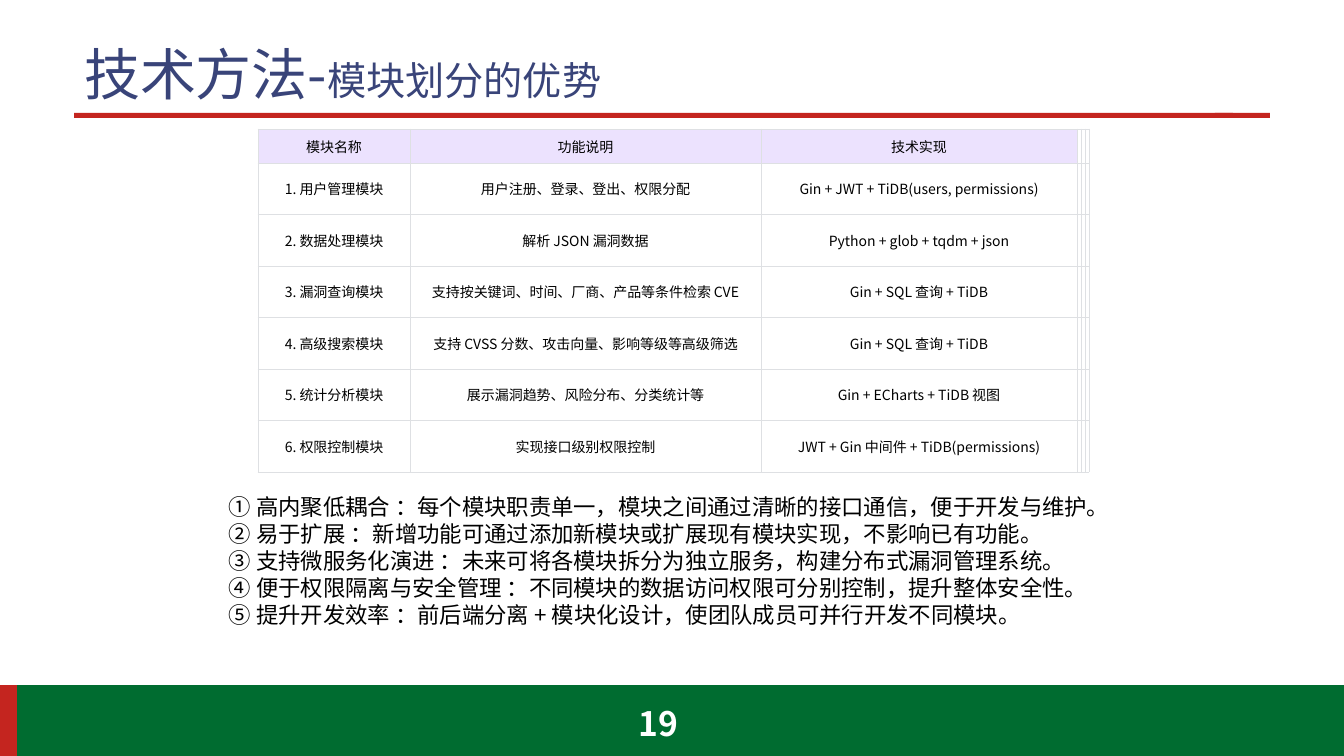
"""Build the slide on the advantages of the module split."""
import pptx
import pptx.util
import pptx.dml.color
import pptx.enum.shapes
import pptx.enum.text
import pptx.oxml

PX = 914400 / 100.8
FONT = "Noto Sans CJK SC"
NAVY, BLACK, WHITE = "394479", "000000", "FFFFFF"
GREEN, RED, LILAC, GRAY = "006C30", "C4251F", "ECE2FE", "DEE0E3"

TITLE = [("技术方法-", 40), ("模块划分的优势", 28)]
BARS = [
    (0, 685, 1344, 71, GREEN),
    (0, 685, 17, 71, RED),
    (74, 113, 1159, 5, RED),
    (1215, 113, 55, 5, RED),
]
ROWS = [
    ("模块名称", "功能说明", "技术实现"),
    ("1. 用户管理模块", "用户注册、登录、登出、权限分配", "Gin + JWT + TiDB(users, permissions)"),
    ("2. 数据处理模块", "解析 JSON 漏洞数据", "Python + glob + tqdm + json"),
    ("3. 漏洞查询模块", "支持按关键词、时间、厂商、产品等条件检索 CVE", "Gin + SQL 查询 + TiDB"),
    ("4. 高级搜索模块", "支持 CVSS 分数、攻击向量、影响等级等高级筛选", "Gin + SQL 查询 + TiDB"),
    ("5. 统计分析模块", "展示漏洞趋势、风险分布、分类统计等", "Gin + ECharts + TiDB 视图"),
    ("6. 权限控制模块", "实现接口级别权限控制", "JWT + Gin 中间件 + TiDB(permissions)"),
]
WIDTHS = [152, 351, 316, 4, 4, 4]
HEAD, BODY = 34, 309
POINTS = [
    "① 高内聚低耦合 ：每个模块职责单一，模块之间通过清晰的接口通信，便于开发与维护。",
    "② 易于扩展 ：新增功能可通过添加新模块或扩展现有模块实现，不影响已有功能。",
    "③ 支持微服务化演进 ：未来可将各模块拆分为独立服务，构建分布式漏洞管理系统。",
    "④ 便于权限隔离与安全管理 ：不同模块的数据访问权限可分别控制，提升整体安全性。",
    "⑤ 提升开发效率 ：前后端分离 + 模块化设计，使团队成员可并行开发不同模块。",
]

ALIGN = pptx.enum.text.PP_ALIGN
ANCHOR = pptx.enum.text.MSO_ANCHOR


def px(*sizes):
    """Turn pixels into a list of EMU lengths."""
    return [pptx.util.Emu(round(size * PX)) for size in sizes]


def color(code):
    """Return the colour for a hex string."""
    return pptx.dml.color.RGBColor.from_string(code)


def place(shape, *box):
    """Set left, top, width and height of a shape."""
    shape.left, shape.top, shape.width, shape.height = px(*box)


def style(font, size, code, bold=False):
    """Set size, colour, weight and both typefaces of a font."""
    font.size, font.bold, font.name = pptx.util.Pt(size), bold, FONT
    font.color.rgb = color(code)


def write(para, text, size, code, bold=False):
    """Add one styled run to a paragraph."""
    run = para.add_run()
    run.text = text
    style(run.font, size, code, bold)
    face = pptx.oxml.parse_xml(
        f'<a:ea {pptx.oxml.ns.nsdecls("a")} typeface="{FONT}"/>')
    run.font._element.find(pptx.oxml.ns.qn("a:latin")).addnext(face)


def border(cell):
    """Draw thin gray lines on all sides of a cell."""
    props = cell._tc.get_or_add_tcPr()
    for spot, side in enumerate("LRTB"):
        props.insert(spot, pptx.oxml.parse_xml(
            f'<a:ln{side} {pptx.oxml.ns.nsdecls("a")} w="6350"><a:solidFill>'
            f'<a:srgbClr val="{GRAY}"/></a:solidFill></a:ln{side}>'))


def add_bars(slide):
    """Add the footer band and the rule under the title."""
    kind = pptx.enum.shapes.MSO_SHAPE.RECTANGLE
    for *box, code in BARS:
        bar = slide.shapes.add_shape(kind, *px(*box))
        bar.shadow.inherit = False
        bar.fill.solid()
        bar.fill.fore_color.rgb = color(code)
        bar.line.fill.background()


def add_title(slide):
    """Place and fill the title."""
    title = slide.shapes.title
    place(title, 74, 0, 1196, 113)
    frame = title.text_frame
    frame.vertical_anchor = ANCHOR.BOTTOM
    para = frame.paragraphs[0]
    para.alignment, para.line_spacing = ALIGN.LEFT, 0.9
    for text, size in TITLE:
        write(para, text, size, NAVY)


def add_grid(slide):
    """Add the module table."""
    box = px(258, 129, sum(WIDTHS), HEAD + BODY)
    grid = slide.shapes.add_table(len(ROWS), len(WIDTHS), *box).table
    for col, width in zip(grid.columns, WIDTHS):
        col.width, = px(width)
    for at, row in enumerate(grid.rows):
        row.height, = px(BODY / (len(ROWS) - 1) if at else HEAD)
        for spot, cell in enumerate(row.cells):
            cell.margin_left = cell.margin_right = 0
            cell.margin_top = cell.margin_bottom = 0
            cell.vertical_anchor = ANCHOR.MIDDLE
            para = cell.text_frame.paragraphs[0]
            para.alignment = ALIGN.CENTER
            if spot < len(ROWS[at]):
                write(para, ROWS[at][spot], 10, BLACK)
            else:
                style(para.font, 10, BLACK)
            if at == 0 and spot < len(ROWS[at]):
                cell.fill.solid()
                cell.fill.fore_color.rgb = color(LILAC)
            else:
                cell.fill.background()
            border(cell)


def add_points(slide):
    """Add the list of advantages."""
    frame = slide.shapes.add_textbox(*px(210, 488, 933, 146)).text_frame
    frame.word_wrap = True
    frame.margin_left, = px(19)
    for at, text in enumerate(POINTS):
        para = frame.add_paragraph() if at else frame.paragraphs[0]
        para.line_spacing = pptx.util.Pt(19.3)
        write(para, text, 16, BLACK)


def add_number(slide):
    """Add the page number."""
    frame = slide.shapes.add_textbox(*px(617, 703, 71, 40)).text_frame
    frame.word_wrap = True
    frame.vertical_anchor = ANCHOR.MIDDLE
    para = frame.paragraphs[0]
    para.alignment = ALIGN.RIGHT
    write(para, "19", 24, WHITE, True)


def main():
    """Build and save the slide."""
    deck = pptx.Presentation()
    deck.slide_width, deck.slide_height = px(1344, 756)
    slide = deck.slides.add_slide(deck.slide_layouts[5])
    for add in (add_bars, add_title, add_grid, add_points, add_number):
        add(slide)
    deck.save("out.pptx")


if __name__ == "__main__":
    main()
